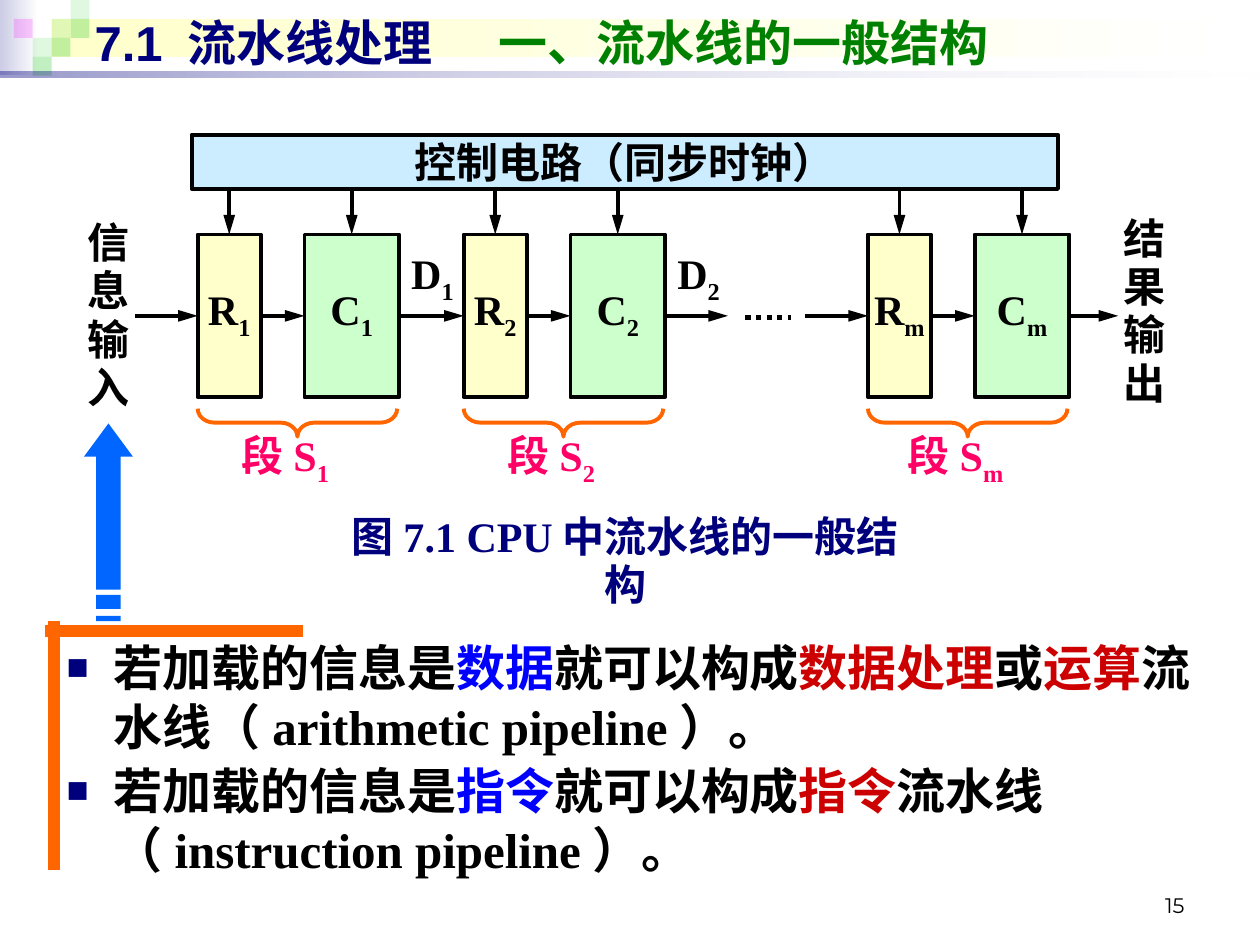
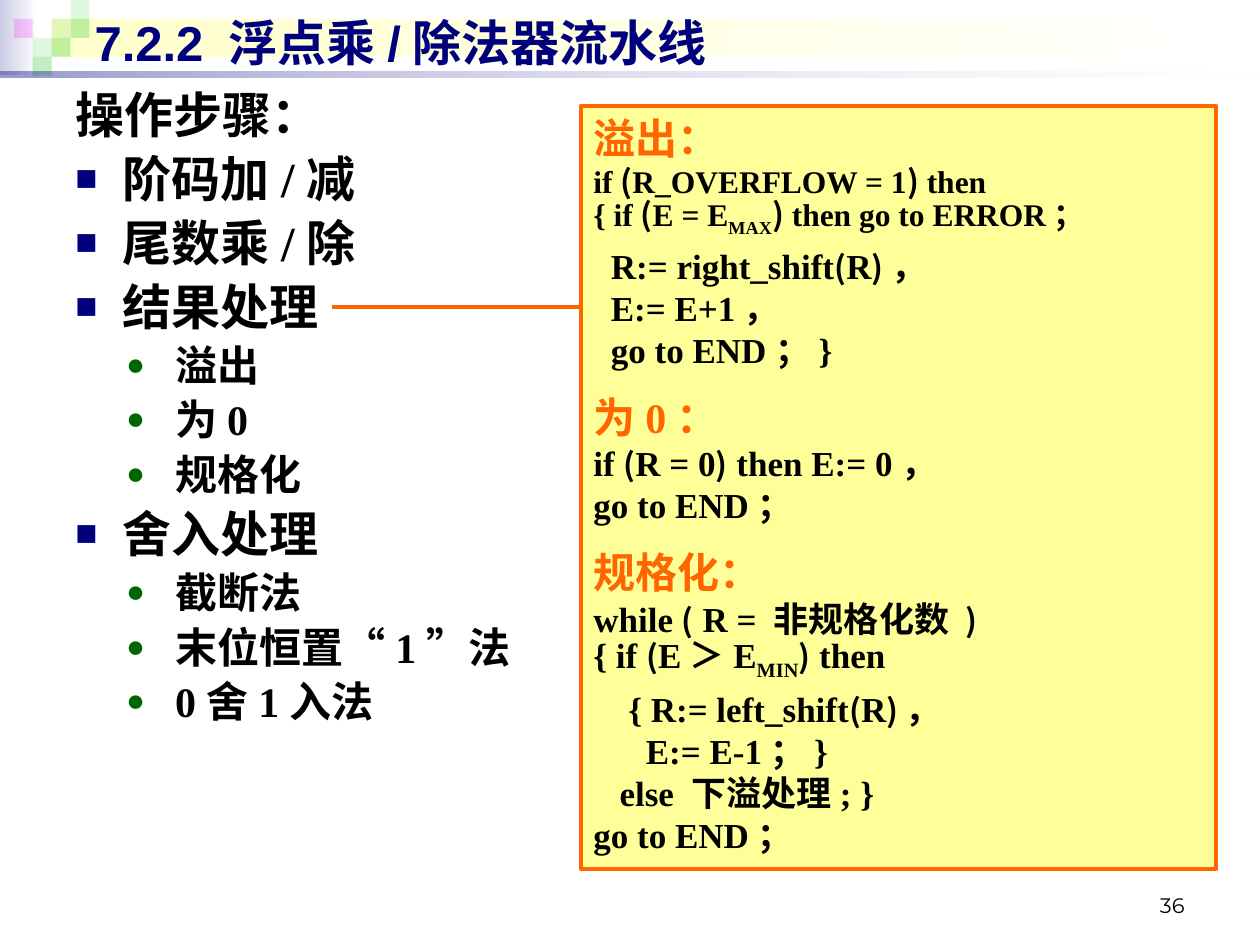
from itertools import groupby

from lxml import etree
from pptx import Presentation
from pptx.dml.color import RGBColor
from pptx.enum import dml, shapes, text
from pptx.oxml import ns
from pptx.util import Pt

BLACK = RGBColor(0, 0, 0)
WHITE = RGBColor(0xFF, 0xFF, 0xFF)
NAVY = RGBColor(0, 0, 0x7D)
LAVENDER = RGBColor(0xCC, 0xCC, 0xE6)
CREAM = RGBColor(0xFF, 0xFF, 0xCC)
YELLOW = RGBColor(0xFF, 0xFF, 0x99)
MINT = RGBColor(0xCC, 0xFF, 0xCC)
SKY = RGBColor(0xCC, 0xEC, 0xFF)
TILE_GREEN = RGBColor(0x33, 0xCC, 0x33)
MAGENTA = RGBColor(0xFF, 0, 0xFF)
GREEN = RGBColor(0, 0x80, 0)
DARK_GREEN = RGBColor(0, 0x66, 0)
BLUE = RGBColor(0, 0, 0xFF)
ARROW_BLUE = RGBColor(0, 0x66, 0xFF)
RED = RGBColor(0xCC, 0, 0)
PINK = RGBColor(0xFF, 0, 0x66)
ORANGE = RGBColor(0xFF, 0x66, 0)

SERIF, SANS, CJK, NUMBER = "Times New Roman", "Arial", "Noto Sans CJK SC", "Montserrat"
LEFT, CENTER, RIGHT = text.PP_ALIGN.LEFT, text.PP_ALIGN.CENTER, text.PP_ALIGN.RIGHT
TOP, MIDDLE, BOTTOM = (text.MSO_ANCHOR.TOP, text.MSO_ANCHOR.MIDDLE,
                       text.MSO_ANCHOR.BOTTOM)
RECT = shapes.MSO_SHAPE.RECTANGLE
LEADING = 1.2
TILE = 10.8
TILES = [(2, 1, TILE_GREEN, 15), (3, 0, TILE_GREEN, 15), (3, 1, TILE_GREEN, 30),
         (1, 2, TILE_GREEN, 15), (0, 1, MAGENTA, 20), (2, 2, TILE_GREEN, 30),
         (1, 3, TILE_GREEN, 30)]


def add_xml(parent, tag, **attrs):
    return etree.SubElement(parent, ns.qn(tag), {k: str(v) for k, v in attrs.items()})


def write(p, words, size=24, color=BLACK, font=SERIF, bold=True, base=0):
    r = p.add_run()
    r.text = words
    r.font.size, r.font.bold, r.font.name = Pt(size), bold, font
    r.font.color.rgb = color
    rpr = r.font._element
    add_xml(rpr, "a:ea", typeface=CJK)
    if base:
        rpr.set("baseline", str(base * 1000))


def indexed(letter, index, **fmt):
    """Runs for a letter with a subscript."""
    return [(letter, fmt), (index, dict(fmt, base=-25))]


def code_runs(line, size):
    """Split a code line: ~x~ is a subscript, parentheses take the CJK font."""
    runs = []
    for i, part in enumerate(line.split("~")):
        for is_paren, chars in groupby(part, key=lambda c: c in "()"):
            fmt = dict(size=18, font=CJK) if is_paren else dict(size=size)
            if i % 2:
                fmt["base"] = -25
            runs.append(("".join(chars), fmt))
    return runs


class Deck:
    def __init__(self):
        self.prs = Presentation()
        self.prs.slide_width, self.prs.slide_height = Pt(720), Pt(540)
        self.s = None

    def slide(self, title, number):
        self.s = self.prs.slides.add_slide(self.prs.slide_layouts[6])
        self.shape(0, 0, 22, 43, fill=(LAVENDER, WHITE))
        self.shape(29.5, 10.8, 687.5, 21.6, fill=(CREAM, WHITE))
        for col, row, color, alpha in TILES:
            self.shape(7.9 + col * TILE, row * TILE, TILE, TILE, fill=color, alpha=[alpha])
        self.shape(0, 41, 720, 3.6, fill=(NAVY, WHITE), alpha=[40, 10])
        tf = self.box(516, 492, 168, 36, anchor=BOTTOM)
        self.para(tf, [(number, dict(font=NUMBER, bold=False))], 12, align=RIGHT)
        tf = self.box(47, 3.6, 664, 41, anchor=MIDDLE)
        style = dict(font=SANS, color=NAVY)
        self.para(tf, [(t, dict(style, **fmt)) for t, fmt in title], 28, tab=231)

    def shape(self, x, y, w, h, kind=RECT, fill=None, line=None, alpha=()):
        """Preset shape; a pair of colours as fill gives a left-to-right gradient."""
        sp = self.s.shapes.add_shape(kind, Pt(x), Pt(y), Pt(w), Pt(h))
        sp.shadow.inherit = False
        if isinstance(fill, RGBColor):
            sp.fill.solid()
            sp.fill.fore_color.rgb = fill
        elif fill:
            sp.fill.gradient()
            sp.fill.gradient_angle = 0
            for stop, color in zip(sp.fill.gradient_stops, fill):
                stop.color.rgb = color
        else:
            sp.fill.background()
        for clr, percent in zip(sp._element.spPr.iter(ns.qn("a:srgbClr")), alpha):
            add_xml(clr, "a:alpha", val=percent * 1000)
        if line is None:
            sp.line.fill.background()
        else:
            sp.line.color.rgb, sp.line.width = line, Pt(2.25)
        return sp

    def frame(self, sp, anchor=TOP, inset=True):
        tf = sp.text_frame
        tf.word_wrap, tf.vertical_anchor = True, anchor
        dx, dy = (Pt(7.2), Pt(3.6)) if inset else (0, 0)
        tf.margin_left = tf.margin_right = dx
        tf.margin_top = tf.margin_bottom = dy
        return tf

    def box(self, x, y, w, h, **options):
        return self.frame(self.s.shapes.add_textbox(Pt(x), Pt(y), Pt(w), Pt(h)), **options)

    def para(self, tf, runs, size, align=LEFT, before=0, after=0, leading=LEADING,
             bullet=None, indent=None, tab=None):
        """Fill the first paragraph or add one; bullet is (character, colour)."""
        first = not tf.paragraphs[0].runs
        p = tf.paragraphs[0] if first else tf.add_paragraph()
        ppr = p._p.get_or_add_pPr()
        if indent:
            left, hang = indent
            ppr.set("marL", str(Pt(left)))
            ppr.set("indent", str(-Pt(hang)))
        if bullet:
            char, color = bullet
            add_xml(add_xml(ppr, "a:buClr"), "a:srgbClr", val=color)
            add_xml(ppr, "a:buSzPct", val=75000)
            add_xml(ppr, "a:buFont", typeface=SANS)
            add_xml(ppr, "a:buChar", char=char)
        if tab:
            add_xml(add_xml(ppr, "a:tabLst"), "a:tab", pos=Pt(tab), algn="l")
        p.alignment, p.line_spacing = align, Pt(round(leading * size, 1))
        p.space_before, p.space_after = Pt(0 if first else before), Pt(after)
        for words, fmt in runs:
            write(p, words, **{"size": size, **fmt})

    def label(self, x, y, w, h, runs, **options):
        self.para(self.box(x, y, w, h, inset=False), runs, 24, **options)

    def block(self, x, y, w, h, fill, runs):
        sp = self.shape(x, y, w, h, fill=fill, line=BLACK)
        self.para(self.frame(sp, MIDDLE, inset=False), runs, 24, align=CENTER)
        return sp

    def line(self, x1, y1, x2, y2, color=BLACK, width=2.25, arrow=False, dash=None,
             begin=None, end=None):
        """Straight line; begin and end are (shape, connection site)."""
        c = self.s.shapes.add_connector(shapes.MSO_CONNECTOR.STRAIGHT,
                                        Pt(x1), Pt(y1), Pt(x2), Pt(y2))
        c.line.color.rgb, c.line.width = color, Pt(width)
        if dash:
            c.line.dash_style = dash
        if arrow:
            add_xml(c.line._get_or_add_ln(), "a:tailEnd", type="triangle", w="med", len="lg")
        add_xml(c._element.spPr, "a:effectLst")
        if begin:
            c.begin_connect(*begin)
        if end:
            c.end_connect(*end)

    def outline(self, contours, fill):
        fb = None
        for start, *rest in contours:
            if fb is None:
                fb = self.s.shapes.build_freeform(*start, scale=Pt(1))
            else:
                fb.move_to(*start)
            fb.add_line_segments(rest, close=True)
        sp = fb.convert_to_shape()
        sp.shadow.inherit = False
        sp.fill.solid()
        sp.fill.fore_color.rgb = fill
        sp.line.fill.background()

    def item(self, tf, runs, level=0, bullet=True):
        size, char, color, indent = [(28, "■", NAVY, (27, 27)),
                                     (24, "●", DARK_GREEN, (57, 28))][level]
        self.para(tf, runs, size, before=size / 10, indent=indent,
                  bullet=(char, color) if bullet else None)


def pipeline_slide(d):
    d.slide([("7.1 流水线处理\t", {}), ("一、流水线的一般结构", dict(color=GREEN))], "15")
    top, height, r_width, c_width, c_shift = 134, 93, 36, 54, 61
    mid, bar_bottom = top + height / 2, 108
    d.block(109.5, 77, 495, 31, SKY, [("控制电路（同步时钟）", {})])
    d.label(42.5, 125, 39.5, 122, [("信息输入", {})], align=CENTER, leading=1.15)
    d.label(636, 122.5, 36, 122, [("结果输出", {})], align=CENTER, leading=1.15)

    previous = None
    for x, index in [(113, "1"), (265, "2"), (496, "m")]:
        register = d.block(x, top, r_width, height, CREAM, indexed("R", index))
        circuit = d.block(x + c_shift, top, c_width, height, MINT, indexed("C", index))
        for sp, center in [(register, x + r_width / 2), (circuit, x + c_shift + c_width / 2)]:
            d.line(center, bar_bottom, center, top, arrow=True, end=(sp, 0))
        d.line(x - 36, mid, x, mid, arrow=True, end=(register, 1),
               begin=(previous, 3) if index == "2" else None)
        d.line(x + r_width, mid, x + c_shift, mid, arrow=True,
               begin=(register, 3), end=(circuit, 1))
        if index != "m":
            d.label(x + 122, 145.5, 29, 30, indexed("D", index))
        brace = d.shape(x + 49, 184.5, 16, 114, shapes.MSO_SHAPE.LEFT_BRACE, line=ORANGE)
        brace.rotation = 270
        brace.adjustments[0] = 0.6
        d.label(x + 10, 249.5, 80, 26, indexed("段S", index, color=PINK), align=CENTER)
        if index != "1":
            right = x + c_shift + c_width
            d.line(right, mid, right + (36 if index == "2" else 28), mid,
                   arrow=True, begin=(circuit, 3))
        previous = circuit
    d.line(426, mid + 1, 452, mid + 1, width=3, dash=dml.MSO_LINE.ROUND_DOT)

    d.label(191, 293, 332.5, 27.5, [("图7.1 CPU中流水线的一般结构", dict(color=NAVY))],
            align=CENTER, leading=1.15)
    bars = [[(55.2, y1), (69.2, y1), (69.2, y2), (55.2, y2)]
            for y1, y2 in [(340.5, 348), (351.5, 355)]]
    d.outline([[(48, 261.2), (55.2, 261.2), (55.2, 337), (69.2, 337), (69.2, 261.2),
                (76.4, 261.2), (62.2, 242)], *bars], ARROW_BLUE)
    d.line(25.5, 360.7, 173, 360.7, ORANGE, 7)
    d.line(31, 355, 31, 497, ORANGE, 7)

    tf = d.box(31, 361, 675.5, 147.5)
    blue, red = dict(color=BLUE), dict(color=RED)
    d.item(tf, [("若加载的信息是", {}), ("数据", blue), ("就可以构成", {}),
                ("数据处理", red), ("或", {}), ("运算", red),
                ("流水线（arithmetic pipeline）。", {})])
    d.item(tf, [("若加载的信息是", {}), ("指令", blue), ("就可以构成", {}),
                ("指令", red), ("流水线（instruction pipeline）。", {})])


def floating_point_slide(d):
    d.slide([("7.2.2 浮点乘/除法器流水线", {})], "36")
    tf = d.box(36, 45, 290, 486)
    d.item(tf, [("操作步骤：", {})], bullet=False)
    steps = [("阶码加/减", []), ("尾数乘/除", []),
             ("结果处理", ["溢出", "为0", "规格化"]),
             ("舍入处理", ["截断法", "末位恒置“1”法", "0舍1入法"])]
    for step, details in steps:
        d.item(tf, [(step, {})])
        for detail in details:
            runs = [("".join(chars), dict(font=CJK if is_quote else SERIF))
                    for is_quote, chars in groupby(detail, key=lambda c: c in "“”")]
            d.item(tf, runs, level=1)

    tf = d.frame(d.shape(332, 60.5, 363, 436, fill=YELLOW, line=ORANGE))
    sections = [
        ("溢出：", [(18, "if (R_OVERFLOW = 1) then"),
                  (18, "{ if (E = E~MAX~) then go to ERROR；"),
                  (20, "  R:= right_shift(R)，"),
                  (20, "  E:= E+1，"),
                  (20, "  go to END；}")]),
        ("为0：", [(20, "if (R = 0) then E:= 0，"),
                 (20, "go to END；")]),
        ("规格化：", [(20, "while ( R = 非规格化数 )"),
                   (20, "{ if (E＞E~MIN~) then"),
                   (20, "    { R:= left_shift(R)，"),
                   (20, "      E:= E-1；}"),
                   (20, "   else 下溢处理; }"),
                   (20, "go to END；")])]
    for heading, code in sections:
        d.para(tf, [(heading, dict(color=ORANGE))], 24, before=12)
        for size, line in code:
            d.para(tf, code_runs(line, size), size, after=3.5 if "~" in line else 0)
    d.line(190, 175.7, 332, 175.7, ORANGE)


def main():
    d = Deck()
    pipeline_slide(d)
    floating_point_slide(d)
    d.prs.save("out.pptx")


if __name__ == "__main__":
    main()
